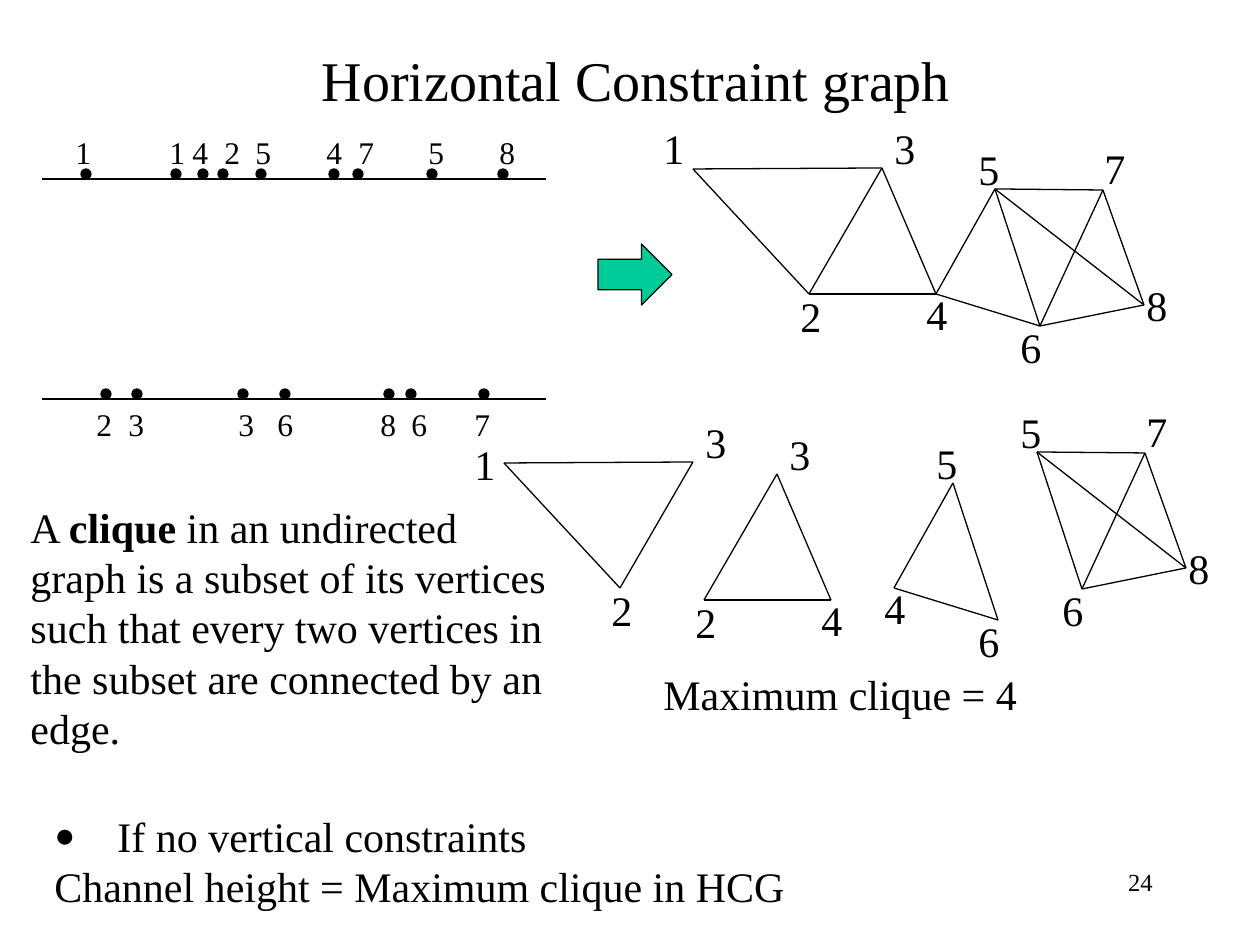
"""Build the slide that explains cliques in a horizontal constraint graph."""
import dataclasses
import itertools

import pptx
import pptx.dml.color
import pptx.enum.shapes
import pptx.enum.text
import pptx.oxml.ns
import pptx.util
from lxml import etree

PX = 914400 // 126
SHAPES = pptx.enum.shapes.MSO_SHAPE
ALIGN = pptx.enum.text.PP_ALIGN


@dataclasses.dataclass(frozen=True)
class Theme:
    """Colours, fonts and type sizes of the slide."""
    ink: str = "000000"
    accent: str = "00CC99"
    font: str = "Times New Roman"
    bullet_font: str = "Arial"
    title: float = 32
    body: float = 24
    pin: float = 18
    number: float = 14
    line: float = 0.75


@dataclasses.dataclass(frozen=True)
class Clique:
    """A subset of vertices, its shift from the full graph and label nudges."""
    members: str
    dx: int
    dy: int
    nudges: dict = dataclasses.field(default_factory=dict)


THEME = Theme()

VERTICES = {
    "1": (693, 169), "2": (809, 294), "3": (882, 168), "4": (936, 294),
    "5": (995, 189), "6": (1040, 326), "7": (1103, 190), "8": (1144, 305),
}
LABELS = {
    "1": (651, 116), "2": (788, 284), "3": (882, 116), "4": (914, 282),
    "5": (966, 137), "6": (1008, 315), "7": (1092, 136), "8": (1134, 273),
}
CLIQUES = [
    Clique("123", -189, 294, {"1": 22}),
    Clique("234", -105, 306),
    Clique("456", -42, 294),
    Clique("5678", 42, 263),
]
TOP_PINS = {
    "line_y": 179, "box": (63, 127, 483, 50), "names": "114254758",
    "dots": [81, 171, 198, 218, 256, 329, 353, 427, 498],
    "stops": [94, 117, 149, 180, 251, 283, 353, 424],
}
BOTTOM_PINS = {
    "line_y": 399, "box": (84, 399, 445, 50), "names": "2336867",
    "dots": [101, 132, 238, 280, 384, 406, 479],
    "stops": [32, 142, 181, 284, 315, 378],
}


def px(*lengths):
    """Turn pixel lengths into EMU."""
    return [pptx.util.Emu(length * PX) for length in lengths]


def colour(code):
    """Return the RGB colour for a hex code."""
    return pptx.dml.color.RGBColor.from_string(code)


def add_element(parent, tag, **attributes):
    """Append a DrawingML element to a parent."""
    return etree.SubElement(parent, pptx.oxml.ns.qn(tag), attributes)


def add_box(page, left, top, width, height):
    """Add a wrapping text box and return its text frame."""
    box = page.shapes.add_textbox(*px(left, top, width, height))
    box.text_frame.word_wrap = True
    return box.text_frame


def add_span(para, text, size, bold=False):
    """Add one run of text to a paragraph."""
    span = para.add_run()
    span.text = text
    span.font.name = THEME.font
    span.font.size = pptx.util.Pt(size)
    span.font.bold = bold
    span.font.color.rgb = colour(THEME.ink)


def add_text(page, area, text, size=THEME.body, align=ALIGN.LEFT):
    """Add a text box with one run and return its text frame."""
    frame = add_box(page, *area)
    frame.paragraphs[0].alignment = align
    add_span(frame.paragraphs[0], text, size)
    return frame


def set_bullet(para, indent):
    """Give a paragraph a round bullet with a hanging indent."""
    properties = para._p.get_or_add_pPr()
    margin = indent * PX
    properties.set("marL", str(margin))
    properties.set("indent", str(-margin))
    add_element(properties, "a:buSzPct", val="83000")
    add_element(properties, "a:buFont", typeface=THEME.bullet_font)
    add_element(properties, "a:buChar", char="●")


def set_tabs(para, stops):
    """Give a paragraph left tab stops."""
    tabs = add_element(para._p.get_or_add_pPr(), "a:tabLst")
    for stop in stops:
        add_element(tabs, "a:tab", pos=str(stop * PX), algn="l")


def add_line(page, start, end):
    """Add a thin straight line."""
    line = page.shapes.add_connector(
        pptx.enum.shapes.MSO_CONNECTOR.STRAIGHT, *px(*start, *end))
    line.line.color.rgb = colour(THEME.ink)
    line.line.width = pptx.util.Pt(THEME.line)
    add_element(line._element.spPr, "a:effectLst")


def add_solid(page, kind, area, fill):
    """Add a filled, outlined preset shape."""
    shape = page.shapes.add_shape(kind, *px(*area))
    shape.shadow.inherit = False
    shape.fill.solid()
    shape.fill.fore_color.rgb = colour(fill)
    shape.line.color.rgb = colour(THEME.ink)
    shape.line.width = pptx.util.Pt(THEME.line)


def add_pin_row(page, line_y, box, names, dots, stops):
    """Add one channel edge with its pins and their net numbers."""
    add_line(page, (42, line_y), (546, line_y))
    for left in dots:
        add_solid(page, SHAPES.OVAL, (left, line_y - 10, 10, 10), THEME.ink)
    para = add_box(page, *box).paragraphs[0]
    set_tabs(para, stops)
    add_span(para, "\t".join(names), THEME.pin)


def add_graph(page, members, edges, dx=0, dy=0, nudges=None):
    """Add the edges and vertex labels of a shifted graph."""
    points = {name: (VERTICES[name][0] + dx, VERTICES[name][1] + dy)
              for name in members}
    for first, second in edges:
        add_line(page, points[first], points[second])
    for name in members:
        left, top = LABELS[name]
        nudge = (nudges or {}).get(name, 0)
        add_text(page, (left + dx, top + dy + nudge, 53, 63), name)


def main():
    """Build and save the slide."""
    deck = pptx.Presentation()
    deck.slide_width, deck.slide_height = px(1260, 945)
    page = deck.slides.add_slide(deck.slide_layouts[6])

    title = add_text(page, (101, 0, 1071, 158), "Horizontal Constraint graph",
                     THEME.title, ALIGN.CENTER)
    title.vertical_anchor = pptx.enum.text.MSO_ANCHOR.MIDDLE
    add_text(page, (903, 861, 262, 63), "24", THEME.number, ALIGN.RIGHT)

    for row in (TOP_PINS, BOTTOM_PINS):
        add_pin_row(page, **row)
    add_solid(page, SHAPES.RIGHT_ARROW, (598, 244, 74, 61), THEME.accent)

    all_edges = set()
    for clique in CLIQUES:
        edges = list(itertools.combinations(clique.members, 2))
        all_edges.update(edges)
        add_graph(page, clique.members, edges, clique.dx, clique.dy, clique.nudges)
    add_graph(page, VERTICES, sorted(all_edges))

    definition = add_box(page, 18, 495, 549, 265).paragraphs[0]
    add_span(definition, "A ", THEME.body)
    add_span(definition, "clique", THEME.body, bold=True)
    add_span(definition, " in an undirected graph is a subset of its vertices such "
             "that every two vertices in the subset are connected by an edge.",
             THEME.body)
    add_text(page, (651, 662, 483, 63), "Maximum clique = 4")

    result = add_box(page, 42, 804, 1124, 113)
    set_bullet(result.paragraphs[0], 63)
    add_span(result.paragraphs[0], "If no vertical constraints", THEME.body)
    add_span(result.add_paragraph(), "Channel height = Maximum clique in HCG",
             THEME.body)

    deck.save("out.pptx")


if __name__ == "__main__":
    main()
